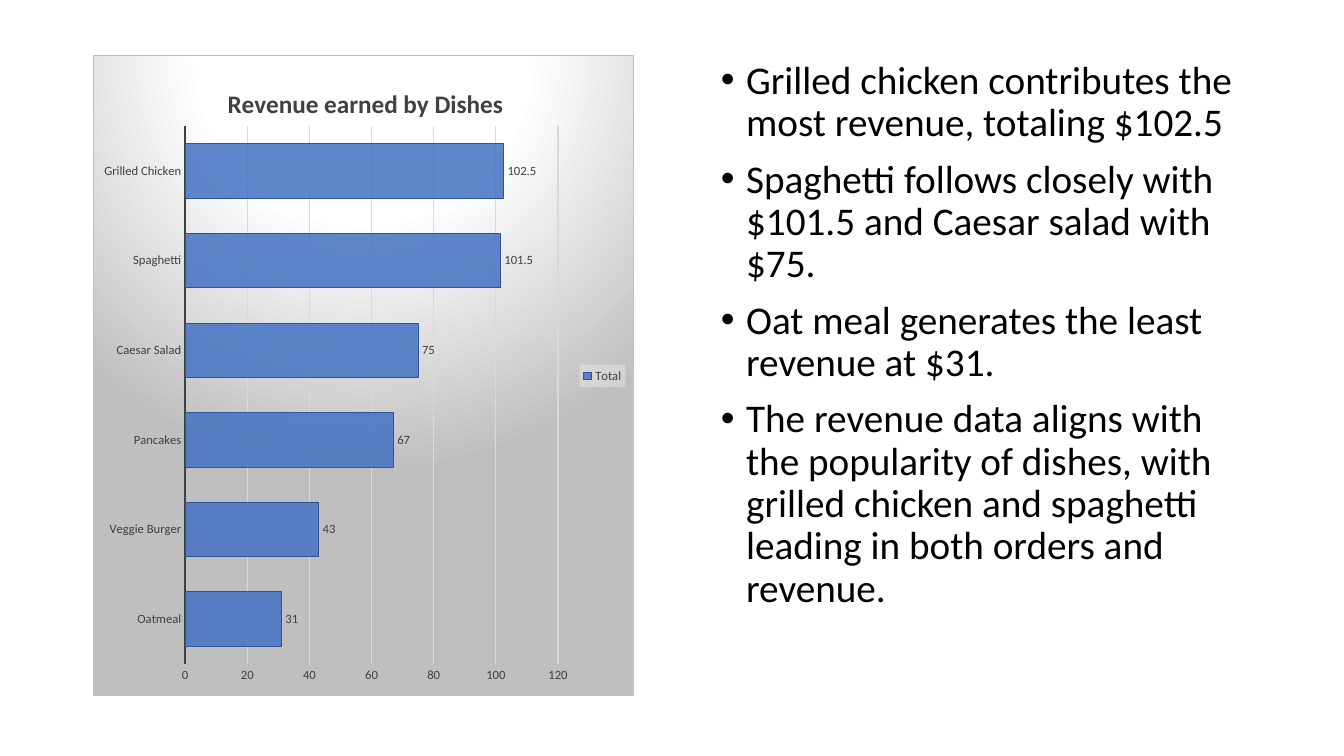
from lxml.etree import SubElement
from pptx import Presentation
from pptx.chart.data import CategoryChartData
from pptx.dml.color import RGBColor
from pptx.enum.chart import XL_CHART_TYPE, XL_LABEL_POSITION, XL_LEGEND_POSITION, XL_TICK_MARK
from pptx.enum.text import MSO_ANCHOR
from pptx.oxml import parse_xml
from pptx.oxml.ns import nsdecls, qn
from pptx.util import Inches, Pt

# Content
CHART_TITLE = "Revenue earned by Dishes"
SERIES_NAME = "Total"
REVENUE = {
    "Oatmeal": 31,
    "Veggie Burger": 43,
    "Pancakes": 67,
    "Caesar Salad": 75,
    "Spaghetti": 101.5,
    "Grilled Chicken": 102.5,
}
FINDINGS = [
    "Grilled chicken contributes the most revenue, totaling $102.5",
    "Spaghetti follows closely with $101.5 and Caesar salad with $75.",
    "Oat meal generates the least revenue at $31.",
    "The revenue data aligns with the popularity of dishes, with grilled chicken "
    "and spaghetti leading in both orders and revenue.",
]


class Theme:
    font = "Calibri"
    text = "000000"
    label = "404040"
    grid = "D9D9D9"
    border = "BFBFBF"
    bar = "4472C4"
    bar_line = "2F5597"
    legend = "F2F2F2"
    body_size = 28
    title_size = 18
    label_size = 9


# Geometry in inches; layouts inside the chart are fractions of its size
TOP, COLUMN_WIDTH = 0.55, 5.37
CHART_BOX = (0.92, TOP, COLUMN_WIDTH, 6.36)
TEXT_BOX = (7.05, TOP, COLUMN_WIDTH, 6.21)
TITLE_LAYOUT = {"x": 0.24, "y": 0.04}
PLOT_LAYOUT = {"x": 0.17, "y": 0.11, "w": 0.69, "h": 0.84}


def style_font(font, size, color=Theme.label, bold=False):
    font.name, font.size, font.bold = Theme.font, Pt(size), bold
    font.color.rgb = RGBColor.from_string(color)


def style_line(line, color, width):
    line.color.rgb = RGBColor.from_string(color)
    line.width = Pt(width)


def solid_fill(color, alpha):
    return parse_xml(
        f'<a:solidFill {nsdecls("a")}><a:srgbClr val="{color}">'
        f'<a:alpha val="{alpha * 1000}"/></a:srgbClr></a:solidFill>')


def set_layout(element, layout, inner=False):
    node = element.find(qn("c:layout"))
    if node is None:
        node = parse_xml(f'<c:layout {nsdecls("c")}/>')
        text = element.find(qn("c:tx"))
        element.insert(0 if text is None else 1, node)
    manual = SubElement(node, qn("c:manualLayout"))
    if inner:
        SubElement(manual, qn("c:layoutTarget")).set("val", "inner")
    for key in "xy":
        SubElement(manual, qn(f"c:{key}Mode")).set("val", "edge")
    for key, value in layout.items():
        SubElement(manual, qn(f"c:{key}")).set("val", str(value))


def add_revenue_chart(slide):
    data = CategoryChartData()
    data.categories = list(REVENUE)
    data.add_series(SERIES_NAME, list(REVENUE.values()))
    chart = slide.shapes.add_chart(
        XL_CHART_TYPE.BAR_CLUSTERED, *map(Inches, CHART_BOX), data).chart
    style_font(chart.font, 10, Theme.text)

    # Title and plot position
    chart.has_title = True
    paragraph = chart.chart_title.text_frame.paragraphs[0]
    paragraph.text = CHART_TITLE
    style_font(paragraph.font, Theme.title_size, bold=True)
    chart_element = chart.element.find(qn("c:chart"))
    set_layout(chart_element.find(qn("c:title")), TITLE_LAYOUT)
    set_layout(chart_element.find(qn("c:plotArea")), PLOT_LAYOUT, inner=True)

    # Axes
    for axis in (chart.category_axis, chart.value_axis):
        axis.major_tick_mark = axis.minor_tick_mark = XL_TICK_MARK.NONE
        style_font(axis.tick_labels.font, Theme.label_size)
    style_line(chart.category_axis.format.line, Theme.label, 1.5)
    value_axis = chart.value_axis
    value_axis.minimum_scale, value_axis.maximum_scale = 0, 120
    value_axis.major_unit = 20
    value_axis.format.line.fill.background()
    value_axis.has_major_gridlines = True
    style_line(value_axis.major_gridlines.format.line, Theme.grid, 0.75)

    # Bars and labels
    plot = chart.plots[0]
    plot.gap_width, plot.vary_by_categories = 65, False
    series = plot.series[0]
    style_line(series.format.line, Theme.bar_line, 0.75)
    series._element.find(qn("c:spPr")).insert(0, solid_fill(Theme.bar, 85))
    labels = series.data_labels
    labels.show_value = True
    labels.position = XL_LABEL_POSITION.OUTSIDE_END
    style_font(labels.font, Theme.label_size)

    # Legend
    chart.has_legend = True
    legend = chart.legend
    legend.position, legend.include_in_layout = XL_LEGEND_POSITION.RIGHT, False
    style_font(legend.font, Theme.label_size)
    legend_format = parse_xml(f'<c:spPr {nsdecls("c")}/>')
    legend_format.append(solid_fill(Theme.legend, 39))
    legend_element = chart_element.find(qn("c:legend"))
    legend_element.find(qn("c:txPr")).addprevious(legend_format)

    # Radial background and border
    stops = "".join(
        f'<a:gs pos="{position * 1000}"><a:srgbClr val="{color}"/></a:gs>'
        for position, color in ((0, "FFFFFF"), (39, "FFFFFF"), (100, Theme.border)))
    chart_element.addnext(parse_xml(
        f'<c:spPr {nsdecls("c", "a")}><a:gradFill><a:gsLst>{stops}</a:gsLst>'
        '<a:path path="circle"><a:fillToRect l="50000" t="-80000" r="50000" b="180000"/>'
        f'</a:path></a:gradFill><a:ln w="{Pt(0.75)}"><a:solidFill>'
        f'<a:srgbClr val="{Theme.border}"/></a:solidFill></a:ln></c:spPr>'))


def fill_findings(body):
    body.left, body.top, body.width, body.height = map(Inches, TEXT_BOX)
    frame = body.text_frame
    frame.word_wrap, frame.vertical_anchor = True, MSO_ANCHOR.TOP
    frame.text = "\n".join(FINDINGS)
    for paragraph in frame.paragraphs:
        style_font(paragraph.runs[0].font, Theme.body_size, Theme.text)
        paragraph.line_spacing, paragraph.space_before = 0.9, Pt(10)
        properties = paragraph._p.get_or_add_pPr()
        properties.set("marL", str(Inches(0.25)))
        properties.set("indent", str(-Inches(0.25)))
        SubElement(properties, qn("a:buFont")).set("typeface", "Arial")
        SubElement(properties, qn("a:buChar")).set("char", "•")


def main():
    presentation = Presentation()
    presentation.slide_width, presentation.slide_height = Inches(13.33), Inches(7.5)
    slide = presentation.slides.add_slide(
        presentation.slide_layouts.get_by_name("Title and Content"))
    title = slide.shapes.title.element
    title.getparent().remove(title)
    fill_findings(slide.placeholders[1])
    add_revenue_chart(slide)
    presentation.save("out.pptx")


if __name__ == "__main__":
    main()
